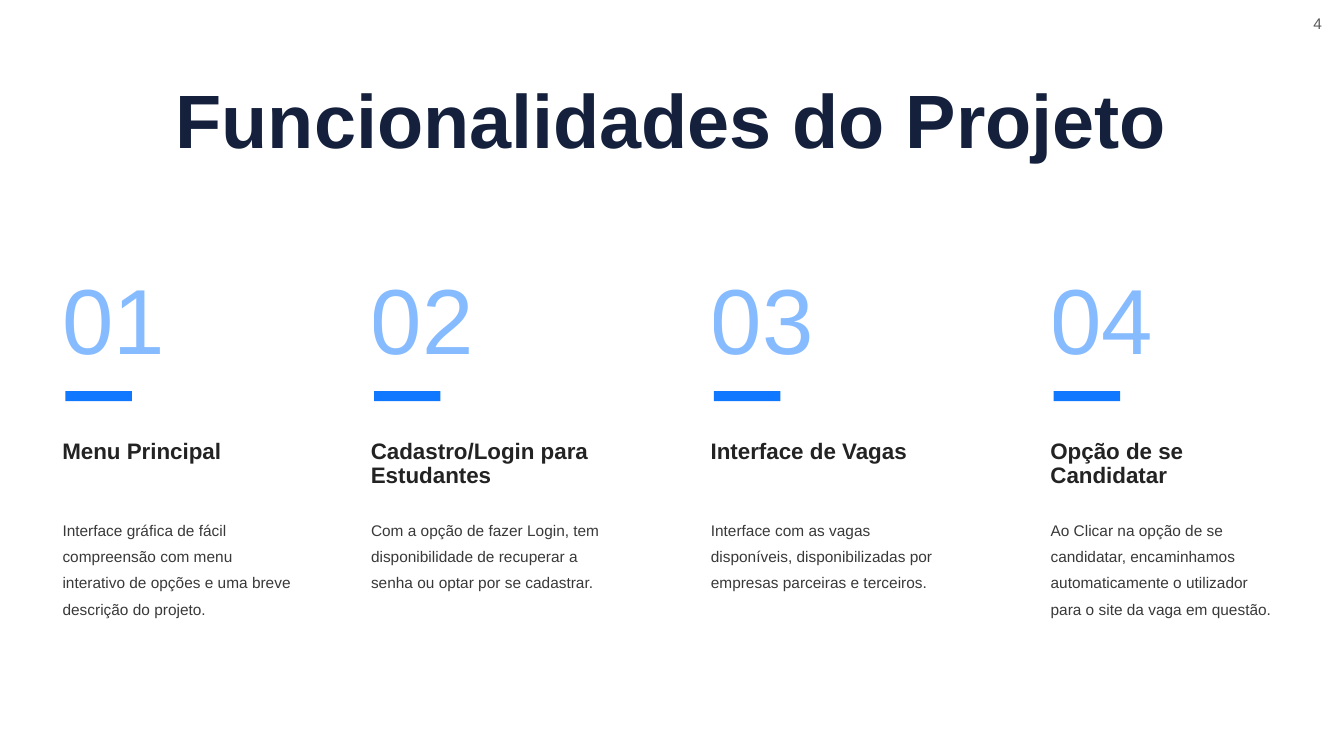
from lxml import etree
from pptx import Presentation, util as u
from pptx.dml.color import RGBColor
from pptx.enum import shapes, text
from pptx.oxml import ns

NAVY = RGBColor(0x14, 0x20, 0x3C)
BLUE = RGBColor(0x0F, 0x78, 0xFF)
INK = RGBColor(0x23, 0x23, 0x23)
BODY = RGBColor(0x39, 0x39, 0x39)
GREY = RGBColor(0x5A, 0x5A, 0x5A)
FONT = "Arial"
WIDTH, HEIGHT = 13.33, 7.5
COLUMN_WIDTH = 2.47
COLUMN_TOP, COLUMN_HEIGHT = 2.7, 3.92
FIRST_LEFT, SECOND_LEFT, COLUMN_STEP = 0.52, 3.58, 3.37

FEATURES = [
    ("Menu Principal",
     "Interface gráfica de fácil compreensão com menu interativo de opções e uma breve descrição do projeto."),
    ("Cadastro/Login para Estudantes",
     "Com a opção de fazer Login, tem disponibilidade de recuperar a senha ou optar por se cadastrar."),
    ("Interface de Vagas",
     "Interface com as vagas disponíveis, disponibilizadas por empresas parceiras e terceiros."),
    ("Opção de se Candidatar",
     "Ao Clicar na opção de se candidatar, encaminhamos automaticamente o utilizador para o site da vaga em questão."),
]


def place(part, box):
    part.left, part.top, part.width, part.height = (u.Inches(length) for length in box)


def write(part, wording, size, color, bold=False, spacing=None, align=text.PP_ALIGN.LEFT,
          anchor=text.MSO_ANCHOR.TOP, wrap=True, opacity=None):
    frame = part.text_frame
    frame.word_wrap = wrap
    frame.auto_size = text.MSO_AUTO_SIZE.NONE
    frame.vertical_anchor = anchor
    paragraph = frame.paragraphs[0]
    paragraph.alignment = align
    paragraph.line_spacing = spacing
    paragraph.space_before = u.Pt(0)
    properties = paragraph._p.get_or_add_pPr()
    properties.set("marL", "0")
    properties.set("indent", "0")
    etree.SubElement(properties, ns.qn("a:buNone"))
    run = paragraph.add_run()
    run.text = wording
    run.font.name, run.font.size, run.font.bold = FONT, u.Pt(size), bold
    run.font.color.rgb = color
    if opacity is not None:
        fill = run._r.rPr.find(ns.qn("a:solidFill"))
        etree.SubElement(fill[0], ns.qn("a:alpha"), val=str(int(opacity * 100000)))


def add_text(slide, box, wording, **style):
    part = slide.shapes.add_textbox(*(u.Inches(length) for length in box))
    write(part, wording, **style)


def add_page_number(slide, box):
    add_text(slide, box, "4", size=11, color=GREY, align=text.PP_ALIGN.CENTER,
             anchor=text.MSO_ANCHOR.MIDDLE, wrap=False)


def add_heading(slide, box):
    heading = slide.shapes.title
    place(heading, box)
    write(heading, "Funcionalidades do Projeto", size=54, color=NAVY, bold=True,
          spacing=u.Pt(46.8), align=text.PP_ALIGN.CENTER)


def add_feature(slide, description, box, number, name, wording):
    left, top, width, height = box
    add_text(slide, (left, top, width, 1.04), f"{number:02}", size=66, color=BLUE,
             spacing=0.8, anchor=text.MSO_ANCHOR.BOTTOM, opacity=0.5)
    bar = slide.shapes.add_shape(
        shapes.MSO_SHAPE.RECTANGLE, u.Inches(left + 0.13), u.Inches(top + 1.18),
        u.Inches(0.66), u.Inches(0.1))
    bar.shadow.inherit = False
    bar.fill.solid()
    bar.fill.fore_color.rgb = BLUE
    bar.line.fill.background()
    add_text(slide, (left, top + 1.62, width, 0.67), name, size=16, color=INK,
             bold=True, spacing=0.9)
    place(description, (left, top + 2.34, width, height - 2.34))
    write(description, wording, size=11, color=BODY, spacing=u.Pt(18.8))


def main():
    deck = Presentation()
    deck.slide_width, deck.slide_height = u.Inches(WIDTH), u.Inches(HEIGHT)
    slide = deck.slides.add_slide(deck.slide_layouts.get_by_name("Comparison"))
    add_page_number(slide, (WIDTH - 0.52, 0.05, 0.52, 0.36))
    add_heading(slide, (FIRST_LEFT, 0.92, 12.28, 0.87))
    descriptions = [holder for holder in slide.placeholders if holder.placeholder_format.idx > 0]
    lefts = [FIRST_LEFT] + [SECOND_LEFT + COLUMN_STEP * step for step in range(3)]
    for number, (description, left, feature) in enumerate(zip(descriptions, lefts, FEATURES), 1):
        box = (left, COLUMN_TOP, COLUMN_WIDTH, COLUMN_HEIGHT)
        add_feature(slide, description, box, number, *feature)
    deck.save("out.pptx")


if __name__ == "__main__":
    main()
